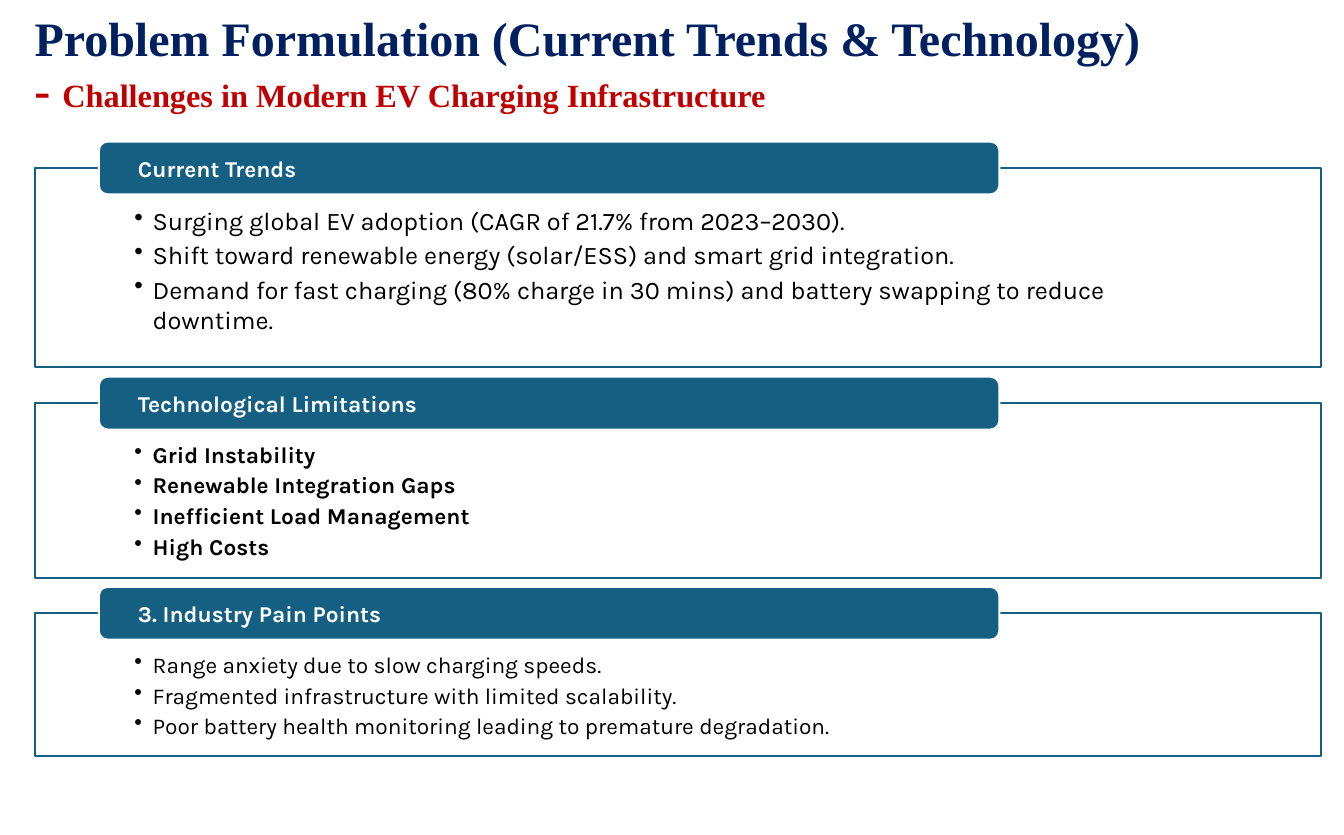
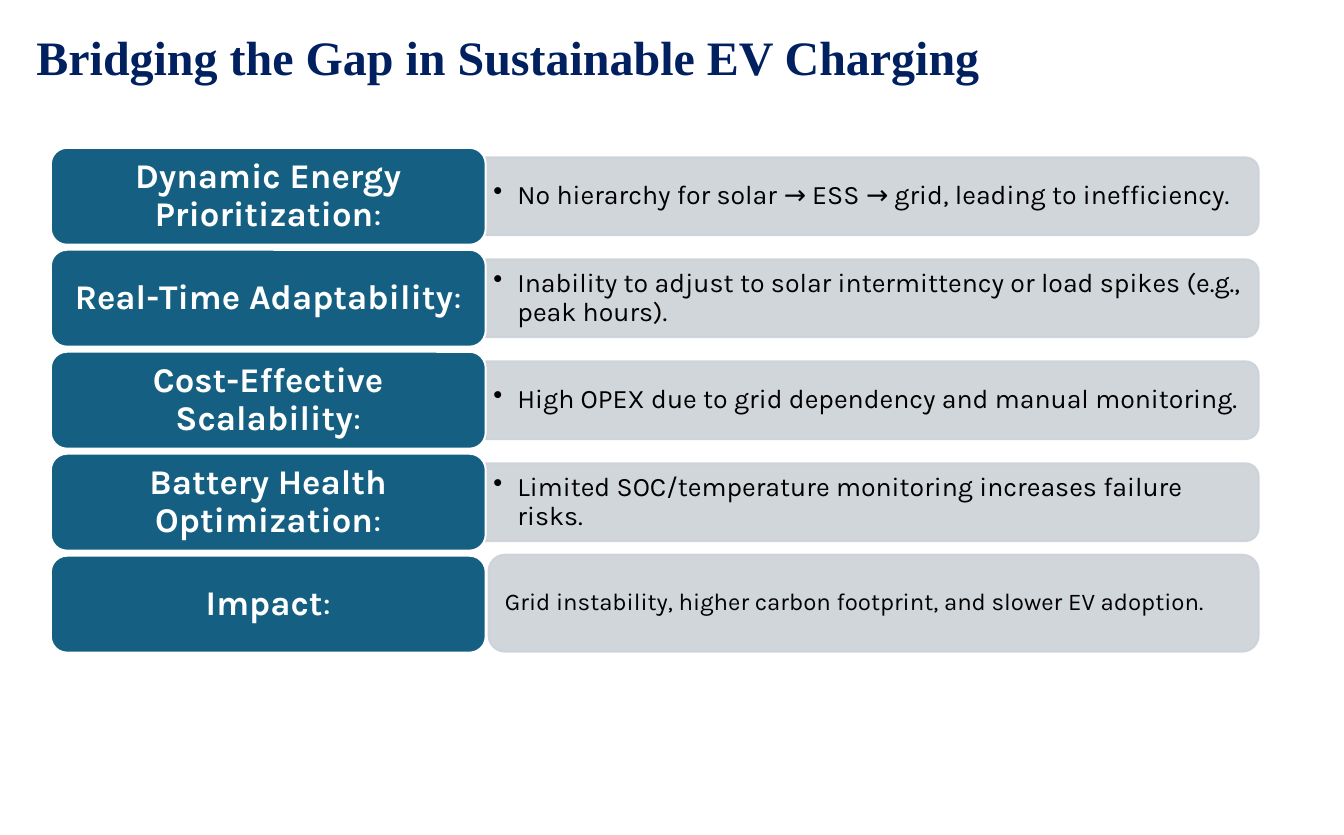
from lxml import etree
from pptx import Presentation
from pptx.dml.color import RGBColor
from pptx.enum.shapes import MSO_SHAPE
from pptx.enum.text import MSO_ANCHOR, PP_ALIGN
from pptx.oxml.ns import qn
from pptx.util import Inches, Pt

RECTANGLE, ROUNDED = MSO_SHAPE.RECTANGLE, MSO_SHAPE.ROUNDED_RECTANGLE
TWO_ROUNDED = MSO_SHAPE.ROUND_2_SAME_RECTANGLE
TOP, MIDDLE = MSO_ANCHOR.TOP, MSO_ANCHOR.MIDDLE
LEFT, CENTER = PP_ALIGN.LEFT, PP_ALIGN.CENTER
TITLE_ONLY = 5

# Content
TRENDS_TITLE = "Problem Formulation (Current Trends & Technology)"
TRENDS_SUBTITLE = "Challenges in Modern EV Charging Infrastructure"
PANELS = [  # heading, top, height, text size, bold, points
    ("Current Trends", 1.75, 2.07, 19, False, [
        "Surging global EV adoption (CAGR of 21.7% from 2023–2030).",
        "Shift toward renewable energy (solar/ESS) and smart grid integration.",
        "Demand for fast charging (80% charge in 30 mins) and battery swapping to reduce downtime.",
    ]),
    ("Technological Limitations", 4.2, 1.82, 17, True, [
        "Grid Instability",
        "Renewable Integration Gaps",
        "Inefficient Load Management",
        "High Costs",
    ]),
    ("3. Industry Pain Points", 6.39, 1.49, 17, False, [
        "Range anxiety due to slow charging speeds.",
        "Fragmented infrastructure with limited scalability.",
        "Poor battery health monitoring leading to premature degradation.",
    ]),
]
GAP_TITLE = "Bridging the Gap in Sustainable EV Charging"
GAPS = [
    ("Dynamic Energy Prioritization",
     "No hierarchy for solar → ESS → grid, leading to inefficiency."),
    ("Real-Time Adaptability",
     "Inability to adjust to solar intermittency or load spikes (e.g., peak hours)."),
    ("Cost-Effective Scalability",
     "High OPEX due to grid dependency and manual monitoring."),
    ("Battery Health Optimization",
     "Limited SOC/temperature monitoring increases failure risks."),
]
IMPACT = ("Impact", "Grid instability, higher carbon footprint, and slower EV adoption.")

# Shared style
COLORS = {"navy": "002060", "red": "C00000", "teal": "156082",
          "grey": "CCD2D8", "white": "FFFFFF", "black": "000000"}
SERIF, SANS = "Times New Roman", "Karla"
OPACITY = "90000"
FILL, LINE = "a:solidFill", "a:ln/a:solidFill"


def rgb(name):
    return RGBColor.from_string(COLORS[name])


def setup_frame(box, insets=(0.1, 0.05, 0.1, 0.05), anchor=MIDDLE):
    frame = box.text_frame
    frame.word_wrap = True
    frame.vertical_anchor = anchor
    (frame.margin_left, frame.margin_top,
     frame.margin_right, frame.margin_bottom) = map(Inches, insets)
    return frame


def write(para, text, size=17, font=SANS, color="black", bold=False, align=LEFT,
          spacing=None, after=0, hanging=0, bullet=False):
    """Add one formatted span to a paragraph."""
    para.alignment = align
    if spacing:
        para.line_spacing = spacing
    if after:
        para.space_after = Pt(round(size * after, 2))
    if hanging:
        para.level = 1
        properties = para._p.get_or_add_pPr()
        properties.set("marL", str(Inches(hanging)))
        properties.set("indent", str(-Inches(hanging)))
        if bullet:
            etree.SubElement(properties, qn("a:buChar")).set("char", "•")
    span = para.add_run()
    span.text = text
    span.font.size, span.font.name, span.font.bold = Pt(size), font, bold
    span.font.color.rgb = rgb(color)


def add_box(page, kind, place, fill, line, translucent=()):
    box = page.shapes.add_shape(kind, *map(Inches, place))
    box.shadow.inherit = False
    box.fill.solid()
    box.fill.fore_color.rgb = rgb(fill)
    box.line.color.rgb = rgb(line)
    box.line.width = Pt(1.5)
    for part in translucent:
        color = box.element.spPr.find(
            "/".join(qn(tag) for tag in part.split("/")) + "/" + qn("a:srgbClr"))
        etree.SubElement(color, qn("a:alpha")).set("val", OPACITY)
    return box


def add_page(deck, title, place):
    page = deck.slides.add_slide(deck.slide_layouts[TITLE_ONLY])
    box = page.shapes.title
    box.left, box.top, box.width, box.height = map(Inches, place)
    write(setup_frame(box).paragraphs[0], title, size=36, font=SERIF,
          color="navy", bold=True, spacing=0.9)
    return page


def add_panel(page, heading, top, height, size, bold, points):
    # Outlined body with bullets
    body = add_box(page, RECTANGLE, (0.36, top, 13.4, height), "white", "teal", [FILL])
    frame = setup_frame(body, (1.04, 0.39, 1.04, 0.13), TOP)
    for index, point in enumerate(points):
        para = frame.add_paragraph() if index else frame.paragraphs[0]
        write(para, point, size=size, bold=bold, after=0.15, hanging=0.19, bullet=True)
    # Heading tab straddling the top edge
    tab_height = 0.55
    tab = add_box(page, ROUNDED, (1.03, top - tab_height / 2, 9.38, tab_height),
                  "teal", "white")
    write(setup_frame(tab, (0.38, 0, 0.38, 0)).paragraphs[0], heading,
          color="white", bold=True)


def build_trends(deck):
    page = add_page(deck, TRENDS_TITLE, (0.26, 0.1, 12.07, 0.66))
    subtitle = page.shapes.add_textbox(*map(Inches, (0.26, 0.63, 11, 0.66)))
    para = setup_frame(subtitle).paragraphs[0]
    for text, size in (("- ", 36), (TRENDS_SUBTITLE, 24.3)):
        write(para, text, size=size, font=SERIF, color="red", bold=True, spacing=0.9)
    for panel in PANELS:
        add_panel(page, *panel)


def build_gaps(deck):
    page = add_page(deck, GAP_TITLE, (0.28, 0.28, 12.07, 0.68))
    label_left, label_width, row_height = 0.53, 4.53, 1.01
    first_top, last_top = 1.54, 5.79
    pitch = (last_top - first_top) / len(GAPS)
    bar_left, bar_width, bar_height = label_left + label_width, 8.05, 0.81

    def add_label(top, label):
        box = add_box(page, ROUNDED, (label_left, top, label_width, row_height),
                      "teal", "white")
        para = setup_frame(box, (0.16, 0.1, 0.16, 0.1)).paragraphs[0]
        for text, bold in ((label, True), (":", False)):
            write(para, text, size=26, color="white", bold=bold, align=CENTER, spacing=0.9)

    for row, (label, detail) in enumerate(GAPS):
        top = first_top + row * pitch
        middle = top + row_height / 2
        # Bar turned a quarter so its rounded end faces right
        bar = add_box(page, TWO_ROUNDED,
                      (bar_left + (bar_width - bar_height) / 2, middle - bar_width / 2,
                       bar_height, bar_width), "grey", "grey", [FILL, LINE])
        bar.rotation = 90
        box = page.shapes.add_textbox(
            *map(Inches, (bar_left, middle - 0.73 / 2, 8.01, 0.73)))
        write(setup_frame(box, (0.08, 0.04, 0.08, 0.04)).paragraphs[0], detail, size=20,
              spacing=0.9, after=0.15, hanging=0.25, bullet=True)
        add_label(top, label)

    # Closing row
    label, detail = IMPACT
    add_label(last_top, label)
    box = add_box(page, ROUNDED, (5.09, 5.78, 8.02, row_height), "grey", "grey", [FILL, LINE])
    write(setup_frame(box, (0.12, 0.09, 0.12, 0.09)).paragraphs[0], detail, size=18,
          spacing=0.9, after=0.15, hanging=0.19)


def main():
    deck = Presentation()
    deck.slide_width, deck.slide_height = Inches(14), Inches(8.7)
    build_trends(deck)
    build_gaps(deck)
    deck.save("out.pptx")


if __name__ == "__main__":
    main()
